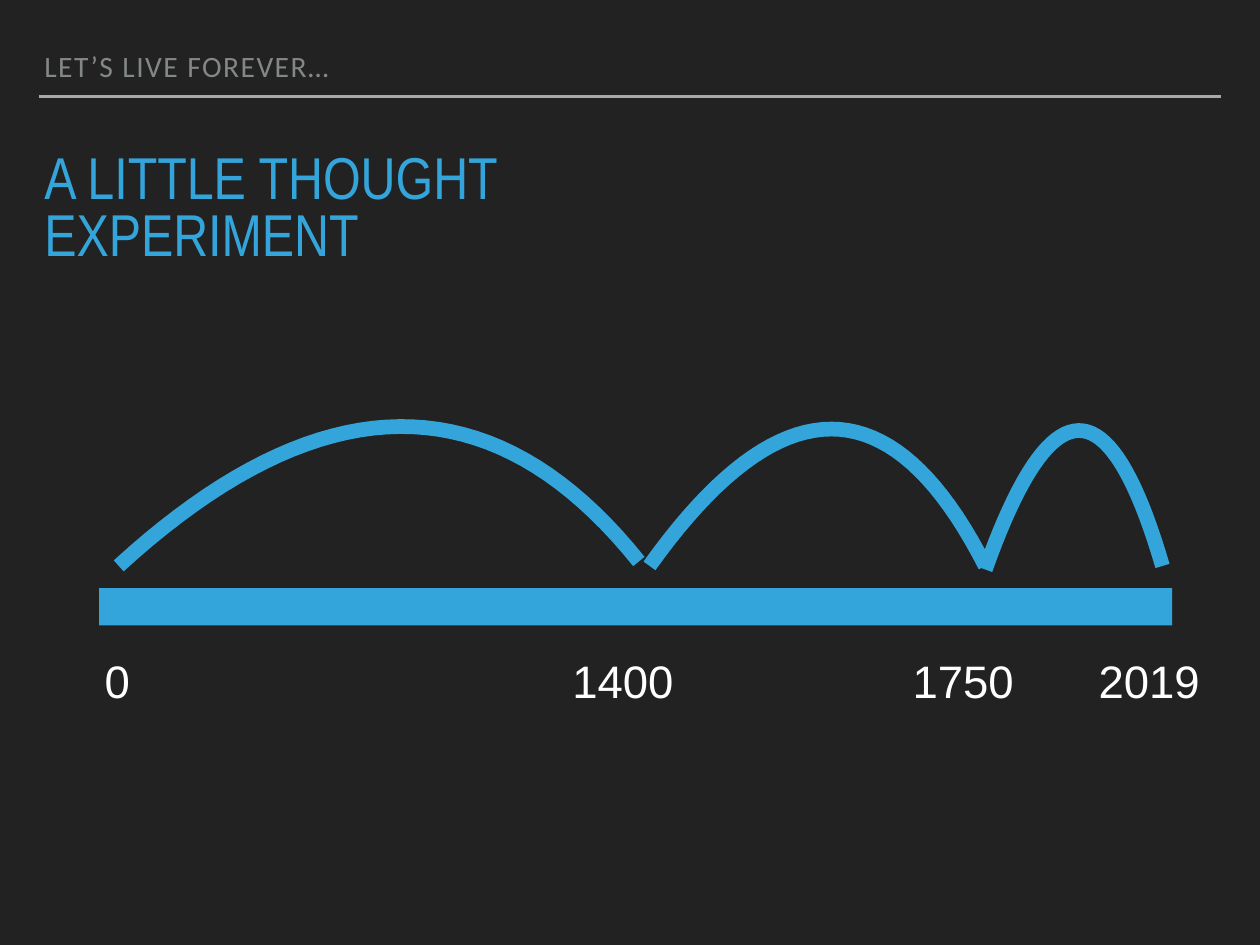
from pptx import Presentation
from pptx.dml.color import RGBColor as Rgb
from pptx.enum.shapes import MSO_CONNECTOR as Conn, MSO_SHAPE as Shape
from pptx.enum.text import MSO_ANCHOR as Anchor, MSO_AUTO_SIZE as Fit, PP_ALIGN as Align
from pptx.oxml.ns import qn
from pptx.util import Inches, Pt

# Content
HEAD = "LET’S LIVE FOREVER…"
TITLE = "A LITTLE THOUGHT EXPERIMENT"
YEARS = [("0", 1.12, 0.48), ("1400", 6.4, 1.56), ("1750", 10.24, 1.56), ("2019", 12.34, 1.56)]
# Start, two control points and end of each arc
ARCS = [
    [(1.34, 6.39), (3.61, 4.31), (5.57, 4.29), (7.21, 6.34)],
    [(7.33, 6.39), (8.8, 4.33), (10.07, 4.33), (11.12, 6.39)],
    [(11.12, 6.43), (11.86, 4.35), (12.52, 4.34), (13.12, 6.39)],
]
STEPS = 40

# Formats
COLORS = {"back": "222222", "rule": "A6AAA9", "head": "838787", "blue": "34A5DA", "white": "FFFFFF"}
INK = {name: Rgb.from_string(code) for name, code in COLORS.items()}
PAD = Inches(0.06)
FRAME = {"word_wrap": True, "auto_size": Fit.NONE, "margin_left": PAD, "margin_right": PAD,
         "margin_top": PAD, "margin_bottom": PAD}
FONTS = {
    "head": {"name": "Calibri", "size": Pt(24)},
    "title": {"name": "Arial Narrow", "size": Pt(48)},
    "year": {"name": "Arial", "size": Pt(37)},
}


def assign(item, values):
    for key, value in values.items():
        setattr(item, key, value)


def place(shape, *box):
    assign(shape, dict(zip(("left", "top", "width", "height"), map(Inches, box))))


def write(shape, text, font, color, anchor, pitch=1.0):
    frame = shape.text_frame
    assign(frame, {**FRAME, "vertical_anchor": anchor})
    para = frame.paragraphs[0]
    assign(para, {"alignment": Align.LEFT, "line_spacing": pitch, "space_before": Pt(0)})
    run = para.add_run()
    run.text = text
    assign(run.font, FONTS[font])
    run.font.color.rgb = INK[color]
    return para, run


def curve(points, step):
    """Point on a cubic curve, as slide lengths."""
    t = step / STEPS
    parts = ((1 - t) ** 3, 3 * t * (1 - t) ** 2, 3 * t * t * (1 - t), t ** 3)
    return tuple(Inches(sum(part * point[axis] for part, point in zip(parts, points)))
                 for axis in (0, 1))


deck = Presentation()
deck.slide_width, deck.slide_height = Inches(14.22), Inches(10.67)
slide = deck.slides.add_slide(deck.slide_layouts[1])
slide.background.fill.solid()
slide.background.fill.fore_color.rgb = INK["back"]
shapes = slide.shapes

# Header line
rule = shapes.add_connector(Conn.STRAIGHT, *map(Inches, (0.44, 1.09, 13.78, 1.09)))
rule.line.color.rgb, rule.line.width = INK["rule"], Pt(2)
rule._element.spPr.append(rule._element.makeelement(qn("a:effectLst"), {}))

# Header and title
head = shapes.placeholders[1]
place(head, 0.44, 0.5, 12.22, 0.5)
para, run = write(head, HEAD, "head", "head", Anchor.BOTTOM, 0.8)
props = para._p.get_or_add_pPr()
props.set("marL", "0")
props.set("indent", "0")
props.append(props.makeelement(qn("a:buNone"), {}))
run._r.get_or_add_rPr().set("spc", "120")

place(shapes.title, 0.44, 1.68, 6.89, 0.79)
write(shapes.title, TITLE, "title", "blue", Anchor.TOP, 0.8)

# Time bar
bar = shapes.add_shape(Shape.RECTANGLE, *map(Inches, (1.12, 6.64, 12.11, 0.42)))
bar.shadow.inherit = False
bar.fill.solid()
bar.fill.fore_color.rgb = INK["blue"]
bar.line.fill.background()

# Arcs between the years
for points in ARCS:
    trail = [curve(points, step) for step in range(STEPS + 1)]
    pen = shapes.build_freeform(*trail[0])
    pen.add_line_segments(trail[1:], close=False)
    arc = pen.convert_to_shape()
    arc.shadow.inherit = False
    arc.fill.background()
    arc.line.color.rgb, arc.line.width = INK["blue"], Pt(12)

# Year labels
for year, left, width in YEARS:
    label = shapes.add_textbox(*map(Inches, (left, 7.27, width, 0.82)))
    write(label, year, "year", "white", Anchor.MIDDLE)

deck.save("out.pptx")
